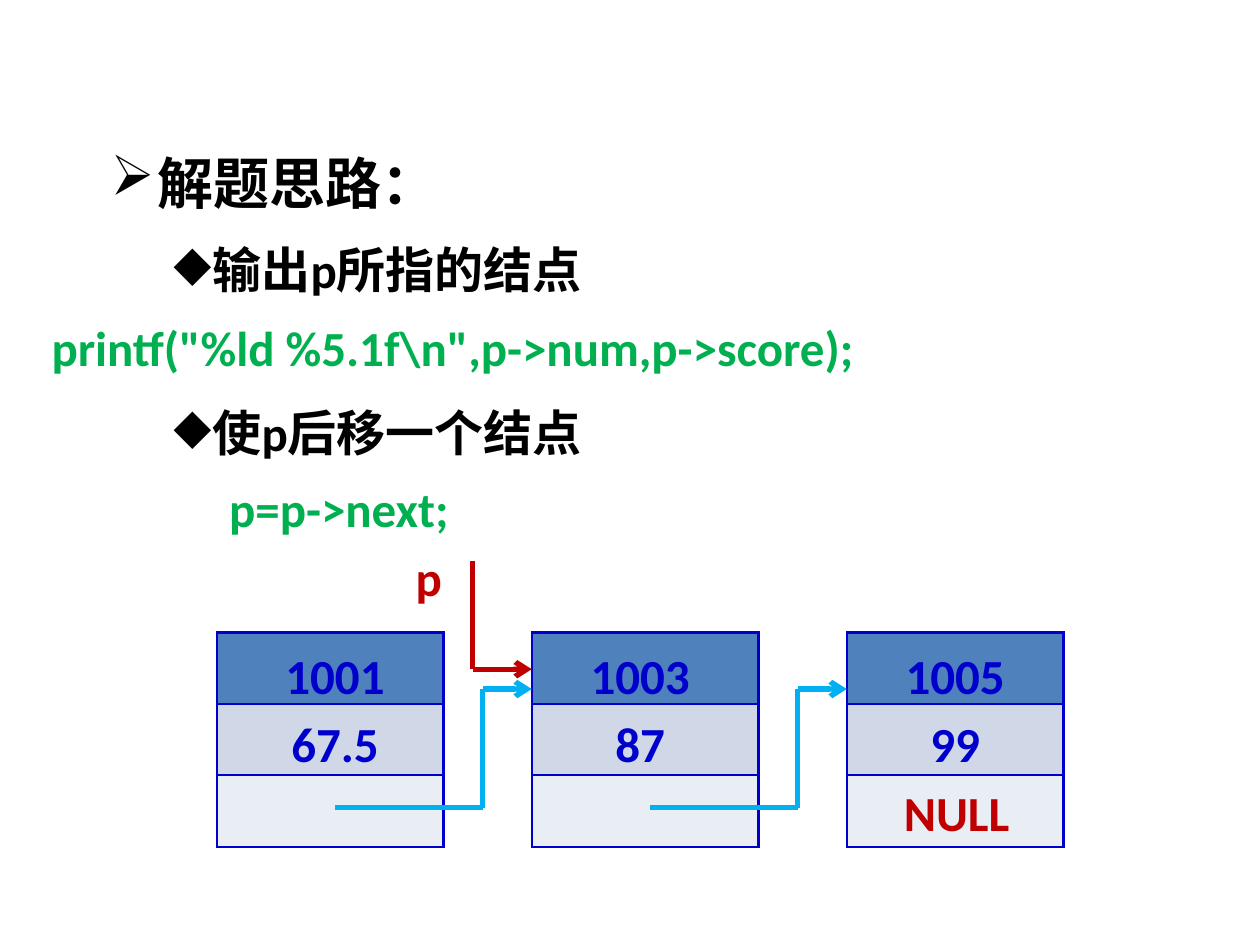
from dataclasses import dataclass

from lxml import etree
from pptx import Presentation
from pptx.dml.color import RGBColor
from pptx.enum.shapes import MSO_CONNECTOR
from pptx.enum.text import MSO_AUTO_SIZE, PP_ALIGN
from pptx.oxml.ns import qn
from pptx.util import Cm, Pt

STRAIGHT = MSO_CONNECTOR.STRAIGHT
FIT = MSO_AUTO_SIZE.SHAPE_TO_FIT_TEXT
CENTER, LEFT = PP_ALIGN.CENTER, PP_ALIGN.LEFT


@dataclass(frozen=True)
class Theme:
    font: str = "Calibri"
    ink: str = "000000"
    data: str = "0000CC"
    code: str = "00B050"
    pointer: str = "C00000"
    link: str = "00B0F0"
    rows: tuple = ("4F81BD", "D0D8E8", "E9EDF4")
    heading: float = 32
    body: float = 28
    line: float = 3
    border: float = 1.5


@dataclass(frozen=True)
class Node:
    num: str
    score: str
    width: float
    label_shift: float
    cell_line: float


@dataclass(frozen=True)
class Label:
    text: str
    box: tuple
    color: str
    align: int = LEFT


@dataclass(frozen=True)
class Bullet:
    text: str
    char: str
    size: float
    level: int
    margin: float
    hang: float
    before: float


THEME = Theme()
NODE_LEFT, NODE_TOP, PITCH, ROW_HEIGHT = 4.37, 12.75, 6.35, 1.44
NODES = (
    Node("1001", "67.5", 4.57, 0.2, 44.6),
    Node("1003", "87", 4.57, 0, 48),
    Node("1005", "99", 4.37, 0, 48),
)
LABELS = (
    Label("NULL", (17.2, 15.65, 4.17, 1.45), THEME.pointer, CENTER),
    Label("p=p->next;", (4.37, 9.53, 10.31, 1.45), THEME.code),
    Label('printf("%ld %5.1f\\n",p->num,p->score);', (0.79, 6.27, 24, 1.45), THEME.code),
    Label("p", (8.13, 10.92, 1.57, 1.45), THEME.pointer),
)
BULLETS = (
    Bullet("解题思路：", "➢", THEME.heading, 0, 0.95, 0.95, 0),
    Bullet("输出p所指的结点", "◆", THEME.body, 1, 2.06, 0.79, 7),
    Bullet("使p后移一个结点", "◆", THEME.body, 1, 2.06, 0.79, 53),
)


def add_run(p, text: str, size: float, color: str) -> None:
    r = p.add_run()
    r.text = text
    for name, value in {"name": THEME.font, "size": Pt(size), "bold": True}.items():
        setattr(r.font, name, value)
    r.font.color.rgb = RGBColor.from_string(color)


def add_box(s, box: tuple):
    tf = s.shapes.add_textbox(*map(Cm, box)).text_frame
    tf.word_wrap = True
    return tf


def add_label(s, label: Label) -> None:
    tf = add_box(s, label.box)
    tf.auto_size = FIT
    p = tf.paragraphs[0]
    p.alignment = label.align
    add_run(p, label.text, THEME.body, label.color)


def set_borders(cell) -> None:
    tc_pr = cell._tc.get_or_add_tcPr()
    for i, side in enumerate(("lnL", "lnR", "lnT", "lnB")):
        ln = etree.Element(qn(f"a:{side}"), w=str(Pt(THEME.border)))
        fill = etree.SubElement(ln, qn("a:solidFill"))
        etree.SubElement(fill, qn("a:srgbClr"), val=THEME.data)
        tc_pr.insert(i, ln)


def add_node(s, node: Node, left: float) -> None:
    rows = len(THEME.rows)
    table = s.shapes.add_table(
        rows, 1, Cm(left), Cm(NODE_TOP), Cm(node.width), Cm(ROW_HEIGHT * rows)
    ).table
    table.first_row = table.horz_banding = False
    for i, color in enumerate(THEME.rows):
        cell = table.cell(i, 0)
        cell.fill.solid()
        cell.fill.fore_color.rgb = RGBColor.from_string(color)
        cell.text_frame.paragraphs[0].line_spacing = Pt(node.cell_line)
        set_borders(cell)
    tf = add_box(s, (left + node.label_shift, 12.7, 4.37, 3.02))
    tf.auto_size = FIT
    for i, text in enumerate((node.num, node.score)):
        p = tf.add_paragraph() if i else tf.paragraphs[0]
        p.alignment, p.line_spacing = CENTER, Pt(39)
        add_run(p, text, THEME.body, THEME.data)


def add_path(s, points: tuple, color: str) -> None:
    for i, (start, end) in enumerate(zip(points, points[1:]), 2):
        c = s.shapes.add_connector(STRAIGHT, *map(Cm, start + end))
        c.line.width = Pt(THEME.line)
        c.line.color.rgb = RGBColor.from_string(color)
        if i == len(points):
            etree.SubElement(c.line._get_or_add_ln(), qn("a:tailEnd"), type="arrow")
        etree.SubElement(c._element.spPr, qn("a:effectLst"))


def add_bullets(s) -> None:
    tf = add_box(s, (1.98, 2.59, 22.02, 7.34))
    for i, bullet in enumerate(BULLETS):
        p = tf.add_paragraph() if i else tf.paragraphs[0]
        p.level, p.line_spacing, p.space_before = bullet.level, 1.2, Pt(bullet.before)
        p_pr = p._p.get_or_add_pPr()
        p_pr.set("marL", str(Cm(bullet.margin)))
        p_pr.set("indent", str(-Cm(bullet.hang)))
        bu_clr = etree.SubElement(p_pr, qn("a:buClr"))
        etree.SubElement(bu_clr, qn("a:srgbClr"), val=THEME.ink)
        etree.SubElement(p_pr, qn("a:buChar"), char=bullet.char)
        add_run(p, bullet.text, bullet.size, THEME.ink)


def main() -> None:
    prs = Presentation()
    prs.slide_width, prs.slide_height = Cm(25.4), Cm(19.05)
    s = prs.slides.add_slide(prs.slide_layouts[6])
    for i, node in enumerate(NODES):
        left = NODE_LEFT + i * PITCH
        add_node(s, node, left)
        if i:
            elbow = left - 0.99
            add_path(
                s,
                ((left - 3.96, 16.28), (elbow, 16.28), (elbow, 13.89), (left, 13.89)),
                THEME.link,
            )
    add_bullets(s)
    for label in LABELS:
        add_label(s, label)
    add_path(s, ((9.53, 11.3), (9.53, 13.49), (NODE_LEFT + PITCH, 13.49)), THEME.pointer)
    prs.save("out.pptx")


if __name__ == "__main__":
    main()
